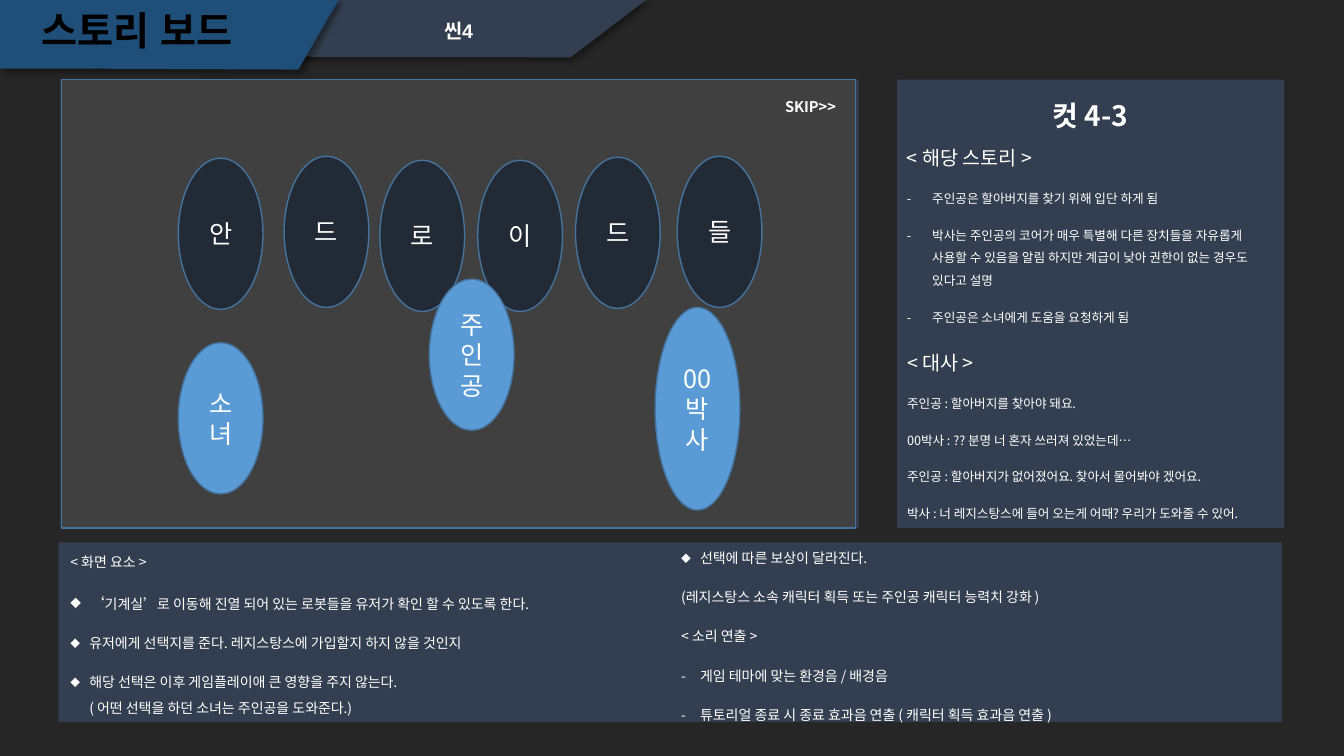
from copy import deepcopy

from lxml import etree
from pptx import Presentation
from pptx.dml.color import RGBColor
from pptx.enum.shapes import MSO_SHAPE
from pptx.enum.text import MSO_ANCHOR, PP_ALIGN
from pptx.oxml.ns import qn
from pptx.util import Pt

RECTANGLE, OVAL = MSO_SHAPE.RECTANGLE, MSO_SHAPE.OVAL
LEFT, CENTER = PP_ALIGN.LEFT, PP_ALIGN.CENTER
TOP, MIDDLE = MSO_ANCHOR.TOP, MSO_ANCHOR.MIDDLE

BACKGROUND, PANEL, TITLE_TAB, SCREEN = "262626", "333F50", "1F4E79", "404040"
ANDROID, CHARACTER, OUTLINE = "222A35", "5B9BD5", "43739E"
WHITE, BLACK = "FFFFFF", "000000"
KOREAN_FONT, HEADING_FONT = "Noto Sans CJK KR", "Arial"

SCENE_TAB = [(3.6, 0), (461.5, 0), (407.5, 41), (99.4, 40.3), (3.6, 40.3)]
STORY_TAB = [(0, 0), (241.9, 0), (213.1, 49.7), (50.4, 49), (0, 49)]
PANELS = [(43.2, 56.9, 570.2, 320.4), (640.8, 56.9, 276.5, 320.4),
          (41.8, 387.4, 874.1, 128.2)]

FIGURE_WIDTH, FIGURE_HEIGHT = 60.5, 108
ANDROIDS = [("로", 271.4, 114.5), ("드", 203, 111.6), ("안", 127.4, 113),
            ("들", 483.8, 111.6), ("이", 341.3, 114.5), ("드", 411.1, 112.3)]
CHARACTERS = [("주인공", 306.7, 199.4, FIGURE_HEIGHT),
              ("소녀", 127.4, 244.8, FIGURE_HEIGHT),
              ("00박사", 468, 219.6, 144.7)]

# Each paragraph is a bullet followed by (text, size) runs.
DIALOGUE = [
    ("", ("< 대사 >", 14)),
    ("", ("주인공 : 할아버지를 찾아야 돼요.", 9)),
    ("", ("00박사 : ?? 분명 너 혼자 쓰러져 있었는데…", 9)),
    ("", ("주인공 : 할아버지가 없어졌어요. 찾아서 물어봐야 겠어요.", 9)),
    ("", ("박사 : 너 레지스탕스에 들어 오는게 어때? 우리가 도와줄 수 있어.", 9)),
]
STORY = [
    ("", ("< 해당 스토리 >", 14)),
    ("-", ("주인공은 할아버지를 찾기 위해 입단 하게 됨", 9)),
    ("-", ("박사는 주인공의 코어가 매우 특별해 다른 장치들을 자유롭게 사용할 수 있음을 알림 "
           "하지만 계급이 낮아 권한이 없는 경우도 있다고 설명", 9)),
    ("-", ("주인공은 소녀에게 도움을 요청하게 됨", 9)),
]
SCREEN_ELEMENTS = [
    ("", ("< 화면 요소 >", 10)),
    ("◆", ("‘", 11),
     ("기계실’로 이동해 진열 되어 있는 로봇들을 유저가 확인 할 수 있도록 한다.", 10)),
    ("◆", ("유저에게 선택지를 준다. 레지스탕스에 가입할지 하지 않을 것인지", 10)),
    ("◆", ("해당 선택은 이후 게임플레이애 큰 영향을 주지 않는다.", 10), ("\n", 10),
     ("( 어떤 선택을 하던 소녀는 주인공을 도와준다.)", 10)),
]
SOUND = [
    ("◆", ("선택에 따른 보상이 달라진다.", 10)),
    ("", ("(레지스탕스 소속 캐릭터 획득 또는 주인공 캐릭터 능력치 강화 )", 10)),
    ("", ("< 소리 연출 >", 10)),
    ("-", ("게임 테마에 맞는 환경음 / 배경음", 10)),
    ("-", ("튜토리얼 종료 시 종료 효과음 연출 ( 캐릭터 획득 효과음 연출 )", 10)),
]


def color(value):
    return RGBColor.from_string(value)


def points(values):
    return [Pt(value) for value in values]


def apply(target, formats):
    for name, value in formats.items():
        setattr(target, name, value)


def paint(shape, fill, outline=None):
    shape.shadow.inherit = False
    shape.fill.solid()
    shape.fill.fore_color.rgb = color(fill)
    if outline:
        shape.line.color.rgb = color(outline)
        shape.line.width = Pt(1)
    else:
        shape.line.fill.background()


def add_tab(slide, corners, fill):
    """Draw a slanted header tab with a soft shadow."""
    start, *rest = [points(corner) for corner in corners]
    builder = slide.shapes.build_freeform(*start, scale=1.0)
    builder.add_line_segments(rest, close=True)
    tab = builder.convert_to_shape()
    paint(tab, fill)
    effects = tab._element.spPr.find(qn("a:effectLst"))
    shadow = etree.SubElement(effects, qn("a:outerShdw"), blurRad=str(Pt(4)),
                              dist=str(Pt(3)), dir=str(45 * 60000), algn="tl", rotWithShape="0")
    shade = etree.SubElement(shadow, qn("a:srgbClr"), val=BLACK)
    etree.SubElement(shade, qn("a:alpha"), val="40000")


def add_block(slide, kind, frame, fill, outline=None):
    block = slide.shapes.add_shape(kind, *points(frame))
    paint(block, fill, outline)
    return block


def add_bullet(paragraph, bullet, indent):
    properties = paragraph._p.get_or_add_pPr()
    properties.set("marL", str(Pt(indent)))
    properties.set("indent", str(-Pt(indent)))
    if bullet == "◆":
        etree.SubElement(properties, qn("a:buSzPct"), val="70000")
    etree.SubElement(properties, qn("a:buFont"), typeface=KOREAN_FONT)
    etree.SubElement(properties, qn("a:buChar"), char=bullet)


def add_run(paragraph, text, size, font, ink, bold):
    run = paragraph.add_run()
    run.text = text
    apply(run.font, {"size": Pt(size), "name": font, "bold": bold})
    run.font.color.rgb = color(ink)
    etree.SubElement(run._r.rPr, qn("a:ea"), typeface=font)
    return run


def add_break(paragraph):
    """Break the line at the size of the run before it."""
    previous = paragraph.runs[-1]._r
    paragraph.add_line_break()
    previous.getnext().append(deepcopy(previous.rPr))


def write(shape, paragraphs, align=LEFT, anchor=MIDDLE, spacing=1.0, indent=13.5,
          font=KOREAN_FONT, ink=WHITE, bold=False):
    frame = shape.text_frame
    apply(frame, {"word_wrap": True, "vertical_anchor": anchor})
    for index, (bullet, *runs) in enumerate(paragraphs):
        paragraph = frame.add_paragraph() if index else frame.paragraphs[0]
        apply(paragraph, {"alignment": align, "line_spacing": spacing,
                          "space_before": Pt(10 if index else 0)})
        if bullet:
            add_bullet(paragraph, bullet, indent)
        for text, size in runs:
            if text == "\n":
                add_break(paragraph)
            else:
                add_run(paragraph, text, size, font, ink, bold)


def add_text(slide, frame, paragraphs, **formats):
    write(slide.shapes.add_textbox(*points(frame)), paragraphs, **formats)


def add_figure(slide, name, left, top, height, fill):
    figure = add_block(slide, OVAL, (left, top, FIGURE_WIDTH, height), fill, OUTLINE)
    write(figure, [("", (name, 18))], align=CENTER)


def main():
    deck = Presentation()
    apply(deck, {"slide_width": Pt(960), "slide_height": Pt(540)})
    slide = deck.slides.add_slide(deck.slide_layouts[6])
    slide.background.fill.solid()
    slide.background.fill.fore_color.rgb = color(BACKGROUND)

    add_tab(slide, SCENE_TAB, PANEL)
    add_tab(slide, STORY_TAB, TITLE_TAB)
    for panel in PANELS:
        add_block(slide, RECTANGLE, panel, PANEL)

    add_text(slide, (291.6, 11.5, 72, 23), [("", ("씬4", 14))], align=CENTER, anchor=TOP,
             spacing=0.9, font=HEADING_FONT, bold=True)
    add_text(slide, (2.2, 4.3, 191.5, 38.2), [("", ("스토리 보드", 28))], align=CENTER,
             spacing=0.9, font=HEADING_FONT, ink=BLACK, bold=True)
    add_text(slide, (640.8, 56.9, 275.8, 38.9), [("", ("컷 4-3", 20))], align=CENTER,
             spacing=1.5, bold=True)

    add_block(slide, RECTANGLE, (43.9, 56.9, 567.4, 320.4), SCREEN, OUTLINE)
    for name, left, top in ANDROIDS:
        add_figure(slide, name, left, top, FIGURE_HEIGHT, ANDROID)
    for name, left, top, height in CHARACTERS:
        add_figure(slide, name, left, top, height, CHARACTER)

    add_text(slide, (640.8, 236.9, 277.2, 140.4), DIALOGUE, spacing=1.5)
    add_text(slide, (640.8, 93.6, 276.5, 140.4), STORY, spacing=1.5, indent=18)
    add_text(slide, (43.2, 381.6, 436.3, 137.5), SCREEN_ELEMENTS, spacing=1.5)
    add_text(slide, (479.5, 387.4, 436.3, 128.2), SOUND, spacing=1.5)
    add_text(slide, (553.7, 66.2, 72, 20.9), [("", ("SKIP>>", 10.5))], anchor=TOP, bold=True)
    deck.save("out.pptx")


if __name__ == "__main__":
    main()
